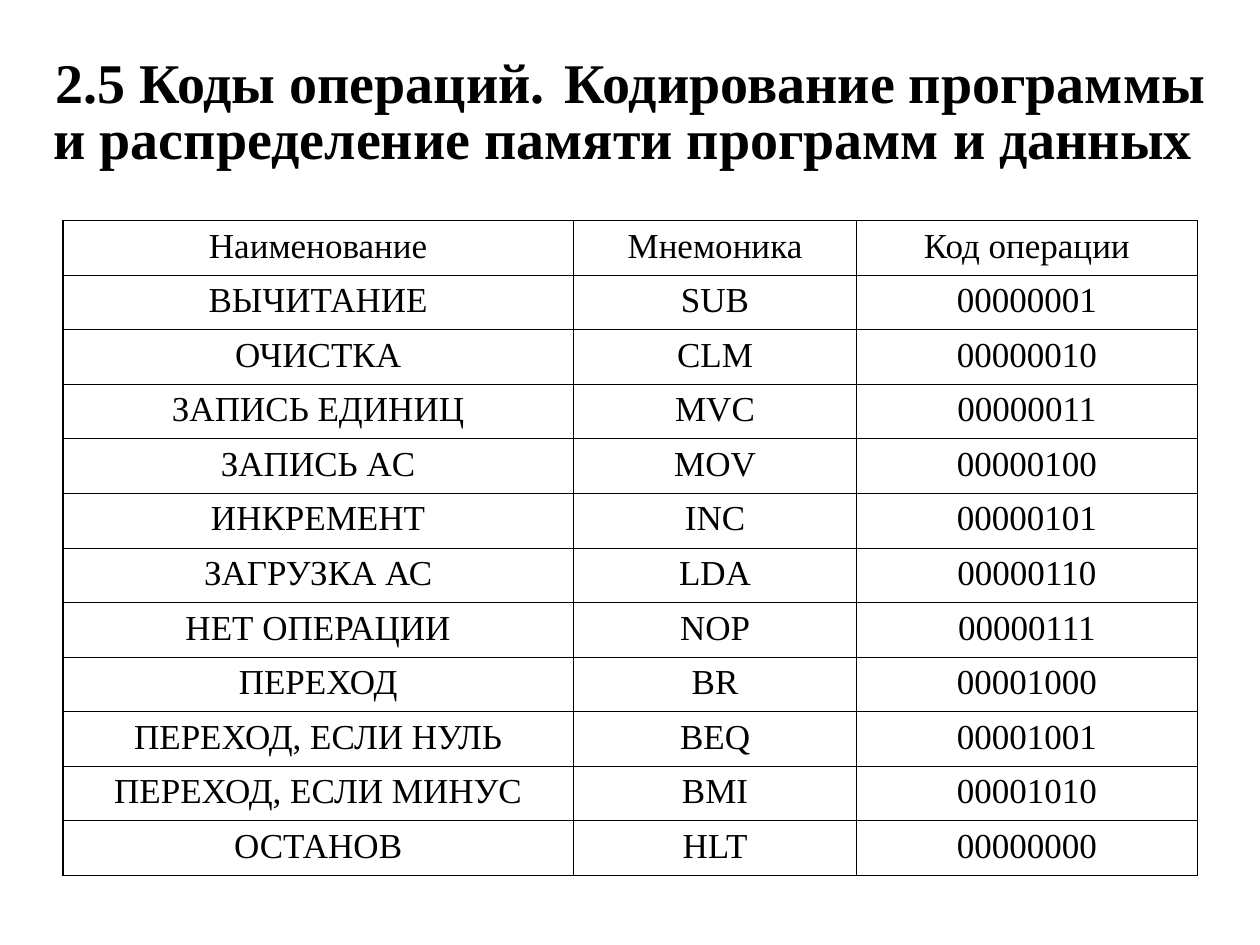
from dataclasses import dataclass
from typing import NamedTuple

from lxml import etree
from pptx import Presentation
from pptx import util as u
from pptx.dml.color import RGBColor
from pptx.enum import text
from pptx.oxml import ns


@dataclass(frozen=True)
class Theme:
    ink: str = "000000"
    font: str = "Times New Roman"
    gap_font: str = "Arial"
    title_size: float = 32
    gap_size: float = 40
    table_size: float = 20
    inner_line: float = 0.45
    header_line: float = 0.34
    outer_line: float = 0.96


class Operation(NamedTuple):
    name: str
    mnemonic: str
    code: str


THEME = Theme()
HEADINGS = Operation("Наименование", "Мнемоника", "Код операции")
OPERATIONS = [
    Operation("ВЫЧИТАНИЕ", "SUB", "00000001"),
    Operation("ОЧИСТКА", "CLM", "00000010"),
    Operation("ЗАПИСЬ ЕДИНИЦ", "MVC", "00000011"),
    Operation("ЗАПИСЬ AC", "MOV", "00000100"),
    Operation("ИНКРЕМЕНТ", "INC", "00000101"),
    Operation("ЗАГРУЗКА АС", "LDA", "00000110"),
    Operation("НЕТ ОПЕРАЦИИ", "NOP", "00000111"),
    Operation("ПЕРЕХОД", "BR", "00001000"),
    Operation("ПЕРЕХОД, ЕСЛИ НУЛЬ", "BEQ", "00001001"),
    Operation("ПЕРЕХОД, ЕСЛИ МИНУС", "BMI", "00001010"),
    Operation("ОСТАНОВ", "HLT", "00000000"),
]
COLUMN_WIDTHS = (291.6, 162, 194.4)
TABLE_HEIGHT = 374.4


def style_font(font, name: str, size: float, bold: bool) -> None:
    font.name, font.size, font.bold = name, u.Pt(size), bold
    font.color.rgb = RGBColor.from_string(THEME.ink)


def write_title(title) -> None:
    title.left, title.top = u.Pt(16.5), u.Pt(18)
    title.width, title.height = u.Pt(687.5), u.Pt(90)
    frame = title.text_frame
    frame.word_wrap = True
    frame.auto_size = text.MSO_AUTO_SIZE.NONE
    frame.vertical_anchor = text.MSO_ANCHOR.MIDDLE
    paragraph = frame.paragraphs[0]
    paragraph.alignment = text.PP_ALIGN.CENTER
    paragraph.line_spacing = 0.8
    heading = (THEME.font, THEME.title_size, True)
    for words, style in (
        ("2.5 Коды операций.", heading),
        (" ", (THEME.gap_font, THEME.gap_size, False)),
        ("Кодирование программы и распределение памяти программ и данных ", heading),
    ):
        run = paragraph.add_run()
        run.text = words
        style_font(run.font, *style)


def set_borders(cell, widths: dict[str, float]) -> None:
    """Draw solid cell borders; widths maps side letters L, R, T, B to points."""
    properties = cell._tc.get_or_add_tcPr()
    for position, (side, width) in enumerate(widths.items()):
        line = etree.Element(ns.qn(f"a:ln{side}"), w=str(int(u.Pt(width))))
        fill = etree.SubElement(line, ns.qn("a:solidFill"))
        etree.SubElement(fill, ns.qn("a:srgbClr"), val=THEME.ink)
        properties.insert(position, line)


def write_cell(cell, words: str) -> None:
    cell.fill.background()
    cell.vertical_anchor = text.MSO_ANCHOR.TOP
    cell.margin_left = cell.margin_right = u.Pt(7.2)
    cell.margin_top = cell.margin_bottom = u.Pt(3.6)
    paragraph = cell.text_frame.paragraphs[0]
    paragraph.text = words
    paragraph.alignment = text.PP_ALIGN.CENTER
    style_font(paragraph.font, THEME.font, THEME.table_size, False)


def add_operation_table(slide) -> None:
    rows = [HEADINGS, *OPERATIONS]
    table = slide.shapes.add_table(
        len(rows), len(COLUMN_WIDTHS), u.Pt(36), u.Pt(126),
        u.Pt(sum(COLUMN_WIDTHS)), u.Pt(TABLE_HEIGHT),
    ).table
    table.horz_banding = False
    for column, width in zip(table.columns, COLUMN_WIDTHS):
        column.width = u.Pt(width)
    top_lines = [THEME.outer_line, THEME.header_line]
    top_lines += [THEME.inner_line] * (len(rows) - 1)
    for row_index, operation in enumerate(rows):
        table.rows[row_index].height = u.Pt(TABLE_HEIGHT / len(rows))
        for column_index, words in enumerate(operation):
            cell = table.cell(row_index, column_index)
            write_cell(cell, words)
            set_borders(cell, {
                "L": THEME.inner_line if column_index else THEME.outer_line,
                "R": THEME.inner_line,
                "T": top_lines[row_index],
                "B": top_lines[row_index + 1],
            })


def main() -> None:
    presentation = Presentation()
    presentation.slide_width, presentation.slide_height = u.Pt(720), u.Pt(540)
    slide = presentation.slides.add_slide(presentation.slide_layouts[5])
    write_title(slide.shapes.title)
    add_operation_table(slide)
    presentation.save("out.pptx")


if __name__ == "__main__":
    main()
